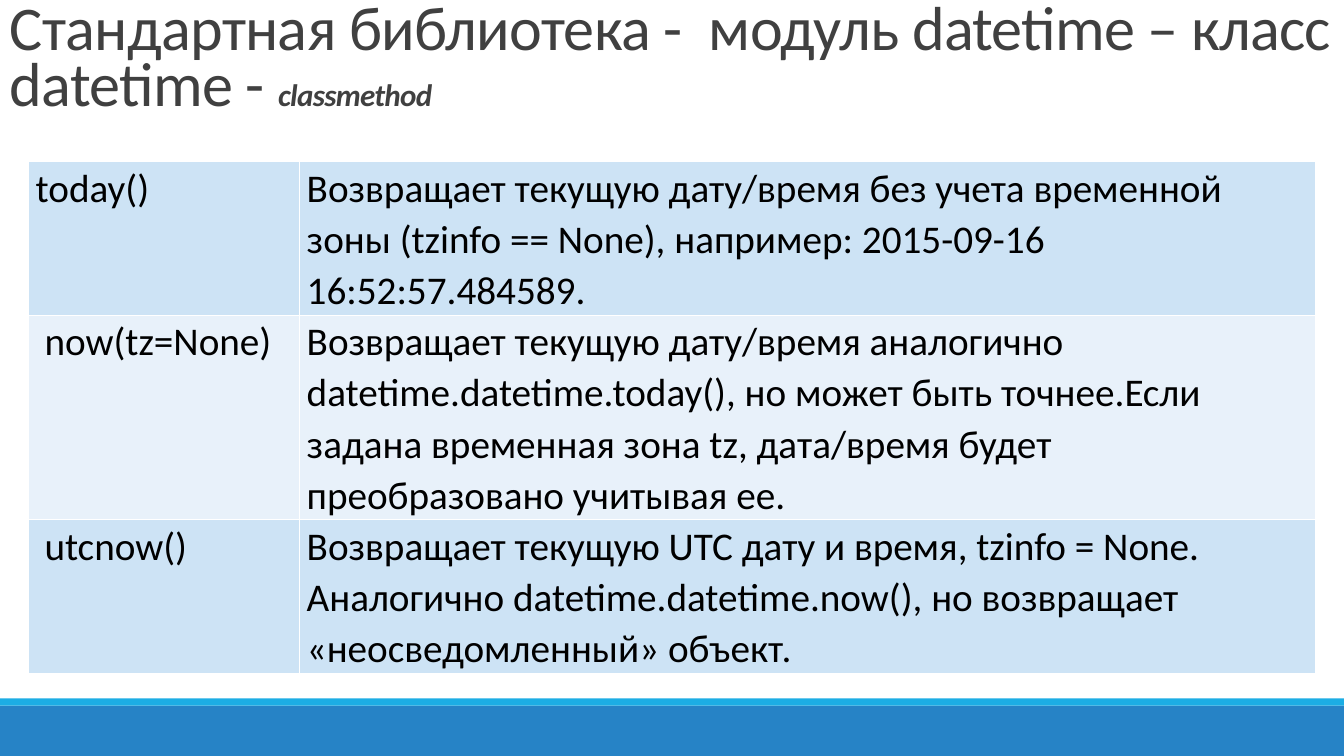
import pptx
import pptx.dml.color
import pptx.enum.shapes
import pptx.enum.text
import pptx.oxml
import pptx.oxml.ns
import pptx.util
from pptx.util import Cm

RGBColor = pptx.dml.color.RGBColor
BLUE = RGBColor(0x26, 0x83, 0xC6)
CYAN = RGBColor(0x1C, 0xAD, 0xE4)
GRAY = RGBColor(0x40, 0x40, 0x40)
BLACK = RGBColor(0, 0, 0)
WHITE = RGBColor(0xFF, 0xFF, 0xFF)
ROW_FILLS = (RGBColor(0xCD, 0xE3, 0xF5), RGBColor(0xE8, 0xF1, 0xFA))

WIDTH, HEIGHT = Cm(33.87), Cm(19.05)
TITLE_FORMAT = {"size": 44.4, "color": GRAY, "spacing": -50}
METHOD_FORMAT = {"size": 22.2, "color": GRAY, "spacing": -50, "bold": True, "italic": True}
CELL_FORMAT = {"size": 28, "color": BLACK}

TITLE = [
    ("Стандартная библиотека -  модуль datetime – класс datetime - ", TITLE_FORMAT),
    ("classmethod", METHOD_FORMAT),
]
METHODS = [
    ("today()",
     "Возвращает текущую дату/время без учета временной зоны (tzinfo == None), "
     "например: 2015-09-16 16:52:57.484589."),
    (" now(tz=None)",
     "Возвращает текущую дату/время аналогично datetime.datetime.today(), но может быть "
     "точнее.Если задана временная зона tz, дата/время будет преобразовано учитывая ее."),
    (" utcnow()",
     "Возвращает текущую UTC дату и время, tzinfo = None. Аналогично "
     "datetime.datetime.now(), но возвращает «неосведомленный» объект."),
]
COLUMN_WIDTHS = (Cm(6.83), Cm(25.6))
ROW_HEIGHTS = (Cm(3.87), Cm(5.16), Cm(3.87))


class SlideBuilder:
    def __init__(self, slide, font_name):
        self.slide = slide
        self.font_name = font_name

    def add_band(self, top, height, color):
        shape = self.slide.shapes.add_shape(
            pptx.enum.shapes.MSO_SHAPE.RECTANGLE, 0, top, WIDTH, height)
        shape.shadow.inherit = False
        shape.fill.solid()
        shape.fill.fore_color.rgb = color
        shape.line.fill.background()

    def add_runs(self, paragraph, runs, line_spacing):
        paragraph.line_spacing = line_spacing
        for text, text_format in runs:
            run = paragraph.add_run()
            run.text = text
            run.font.name = self.font_name
            for name, value in text_format.items():
                if name == "color":
                    run.font.color.rgb = value
                elif name == "size":
                    run.font.size = pptx.util.Pt(value)
                elif name == "spacing":
                    run._r.get_or_add_rPr().set("spc", str(value))
                else:
                    setattr(run.font, name, value)

    def add_title(self, runs):
        frame = self.slide.shapes.add_textbox(0, 0, WIDTH, Cm(3.1)).text_frame
        settings = {"word_wrap": True, "margin_right": 0,
                    "vertical_anchor": pptx.enum.text.MSO_ANCHOR.BOTTOM}
        for name, value in settings.items():
            setattr(frame, name, value)
        self.add_runs(frame.paragraphs[0], runs, 0.75)

    def add_borders(self, cell):
        properties = cell._tc.get_or_add_tcPr()
        for position, side in enumerate(("lnL", "lnR", "lnT", "lnB")):
            border = pptx.oxml.parse_xml(
                f'<a:{side} {pptx.oxml.ns.nsdecls("a")} w="12700"><a:solidFill>'
                f'<a:srgbClr val="{WHITE}"/></a:solidFill></a:{side}>')
            properties.insert(position, border)

    def add_method_table(self, left, top, rows):
        table = self.slide.shapes.add_table(
            len(rows), len(COLUMN_WIDTHS), left, top,
            sum(COLUMN_WIDTHS), sum(ROW_HEIGHTS)).table
        table.first_row = False
        for column, width in zip(table.columns, COLUMN_WIDTHS):
            column.width = width
        for row, height in zip(table.rows, ROW_HEIGHTS):
            row.height = height
        margins = {"margin_left": Cm(0.18), "margin_right": Cm(0.18),
                   "margin_top": 0, "margin_bottom": 0}
        for row_index, texts in enumerate(rows):
            for column_index, text in enumerate(texts):
                cell = table.cell(row_index, column_index)
                for name, value in margins.items():
                    setattr(cell, name, value)
                cell.fill.solid()
                cell.fill.fore_color.rgb = ROW_FILLS[row_index % 2]
                self.add_borders(cell)
                self.add_runs(cell.text_frame.paragraphs[0], [(text, CELL_FORMAT)], 1.07)


def main():
    presentation = pptx.Presentation()
    presentation.slide_width, presentation.slide_height = WIDTH, HEIGHT
    slide = presentation.slides.add_slide(presentation.slide_layouts[6])
    builder = SlideBuilder(slide, "Calibri")
    builder.add_band(Cm(17.78), Cm(1.27), BLUE)
    builder.add_band(Cm(17.6), Cm(0.18), CYAN)
    builder.add_title(TITLE)
    builder.add_method_table(Cm(0.72), Cm(4.07), METHODS)
    presentation.save("out.pptx")


if __name__ == "__main__":
    main()
